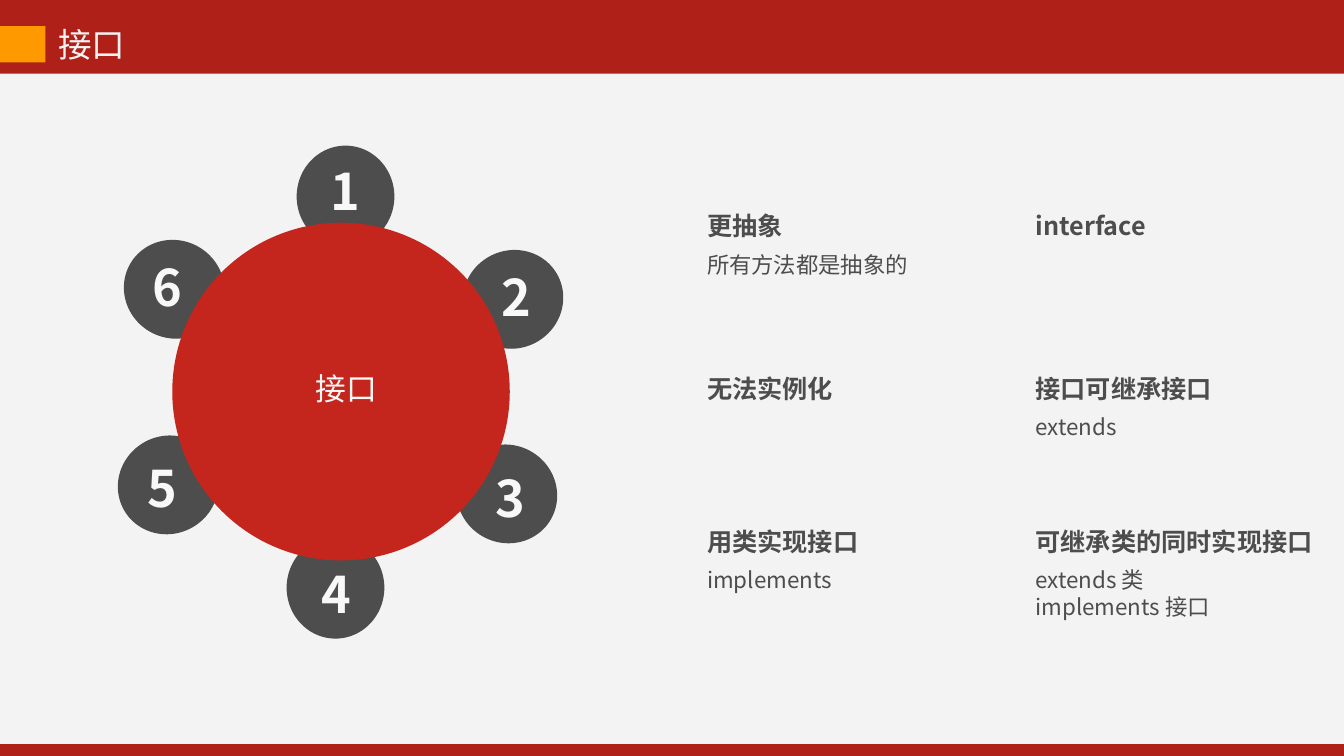
"""Build the slide that explains interfaces with a numbered wheel and six topics."""
import dataclasses

import lxml.etree
import pptx
import pptx.dml.color
import pptx.enum.shapes
import pptx.enum.text
import pptx.oxml.ns
import pptx.util

Inches = pptx.util.Inches
ShapeKind = pptx.enum.shapes.MSO_SHAPE
Align = pptx.enum.text.PP_ALIGN

FONT = "Noto Sans CJK SC"
COLORS = {
    "band": "AF2019",
    "panel": "F3F3F3",
    "accent": "FF9900",
    "dark": "4D4D4D",
    "hub": "C4261D",
    "light": "F8F8F8",
}


@dataclasses.dataclass(frozen=True)
class Satellite:
    center_x: float
    center_y: float
    label_x: float
    label_y: float


@dataclasses.dataclass(frozen=True)
class Topic:
    heading: str
    detail: str = ""
    detail_width: float = 2.2
    detail_height: float = 0.37


SATELLITES = [
    Satellite(3.43, 1.95, 3.43, 1.89),
    Satellite(5.09, 2.97, 5.13, 2.95),
    Satellite(5.03, 4.9, 5.07, 4.94),
    Satellite(3.33, 5.83, 3.34, 5.89),
    Satellite(1.67, 4.81, 1.61, 4.84),
    Satellite(1.73, 2.87, 1.66, 2.85),
]
SATELLITE_SIZE = (0.97, 1.01)
LABEL_SIZE = (0.51, 0.71)

TOPIC_COLUMNS = (6.92, 10.18)
TOPIC_ROWS = (2.04, 3.65, 5.17)
HEADING_HEIGHT = 0.4
TOPICS = [
    [Topic("更抽象", "所有方法都是抽象的", 2.5), Topic("interface")],
    [Topic("无法实例化"), Topic("接口可继承接口", "extends")],
    [
        Topic("用类实现接口", "implements"),
        Topic("可继承类的同时实现接口", "extends 类 implements 接口", 2.47, 0.64),
    ],
]


def rgb(name: str) -> pptx.dml.color.RGBColor:
    """Return the named palette colour."""
    return pptx.dml.color.RGBColor.from_string(COLORS[name])


def place(shape, left: float, top: float, width: float, height: float) -> None:
    """Position and size a shape in inches."""
    shape.left, shape.top = Inches(left), Inches(top)
    shape.width, shape.height = Inches(width), Inches(height)


def write(shape, text: str, size: float, color: str, bold: bool = False,
          align=Align.LEFT, wrap: bool = False) -> None:
    """Fill a shape with formatted text."""
    text_frame = shape.text_frame
    text_frame.text = text
    text_frame.word_wrap = wrap
    text_frame.auto_size = pptx.enum.text.MSO_AUTO_SIZE.NONE
    text_frame.vertical_anchor = pptx.enum.text.MSO_ANCHOR.TOP
    for paragraph in text_frame.paragraphs:
        paragraph.alignment = align
        for run in paragraph.runs:
            run.font.size = pptx.util.Pt(size)
            run.font.bold = bold
            run.font.color.rgb = rgb(color)
            run.font.name = FONT
            east_asian = lxml.etree.SubElement(
                run.font._element, pptx.oxml.ns.qn("a:ea"))
            east_asian.set("typeface", FONT)


def add_solid(slide, kind, left: float, top: float, width: float, height: float,
              color: str, rotation: float = 0) -> None:
    """Add a plain filled shape without outline or shadow."""
    shape = slide.shapes.add_shape(
        kind, Inches(left), Inches(top), Inches(width), Inches(height))
    shape.shadow.inherit = False
    shape.fill.solid()
    shape.fill.fore_color.rgb = rgb(color)
    shape.line.fill.background()
    shape.rotation = rotation


def add_text(slide, left: float, top: float, width: float, height: float,
             text: str, size: float, color: str, bold: bool = False,
             align=Align.LEFT, wrap: bool = False) -> None:
    """Add a formatted text box."""
    text_box = slide.shapes.add_textbox(
        Inches(left), Inches(top), Inches(width), Inches(height))
    write(text_box, text, size, color, bold, align, wrap)


def add_satellite(slide, number: int, satellite: Satellite) -> None:
    """Add one numbered disc of the wheel."""
    width, height = SATELLITE_SIZE
    add_solid(slide, ShapeKind.OVAL, satellite.center_x - width / 2,
              satellite.center_y - height / 2, width, height, "dark",
              rotation=60 * (number - 1))
    width, height = LABEL_SIZE
    add_text(slide, satellite.label_x - width / 2, satellite.label_y - height / 2,
             width, height, str(number), 36, "light", bold=True, align=Align.CENTER)


def add_topic(slide, left: float, top: float, topic: Topic) -> None:
    """Add a topic heading and its optional detail."""
    add_text(slide, left, top, 2.98, HEADING_HEIGHT, topic.heading, 18, "dark",
             bold=True)
    if topic.detail:
        add_text(slide, left, top + HEADING_HEIGHT, topic.detail_width,
                 topic.detail_height, topic.detail, 16, "dark", wrap=True)


def main() -> None:
    """Build and save the presentation."""
    presentation = pptx.Presentation()
    presentation.slide_width = Inches(13.34)
    presentation.slide_height = Inches(7.5)
    slide = presentation.slides.add_slide(
        presentation.slide_layouts.get_by_name("Title Only"))
    slide.background.fill.solid()
    slide.background.fill.fore_color.rgb = rgb("band")

    add_solid(slide, ShapeKind.RECTANGLE, 0, 0.73, 13.34, 6.65, "panel")
    place(slide.shapes.title, 0.48, 0.19, 0.88, 0.5)
    write(slide.shapes.title, "接口", 24, "panel")
    add_solid(slide, ShapeKind.RECTANGLE, 0, 0.26, 0.45, 0.36, "accent")

    for number, satellite in enumerate(SATELLITES, start=1):
        add_satellite(slide, number, satellite)
    add_solid(slide, ShapeKind.OVAL, 1.71, 2.21, 3.35, 3.35, "hub")
    add_text(slide, 3.03, 3.62, 0.82, 0.47, "接口", 22, "light", align=Align.CENTER)

    for top, topics in zip(TOPIC_ROWS, TOPICS):
        for left, topic in zip(TOPIC_COLUMNS, topics):
            add_topic(slide, left, top, topic)

    presentation.save("out.pptx")


if __name__ == "__main__":
    main()
